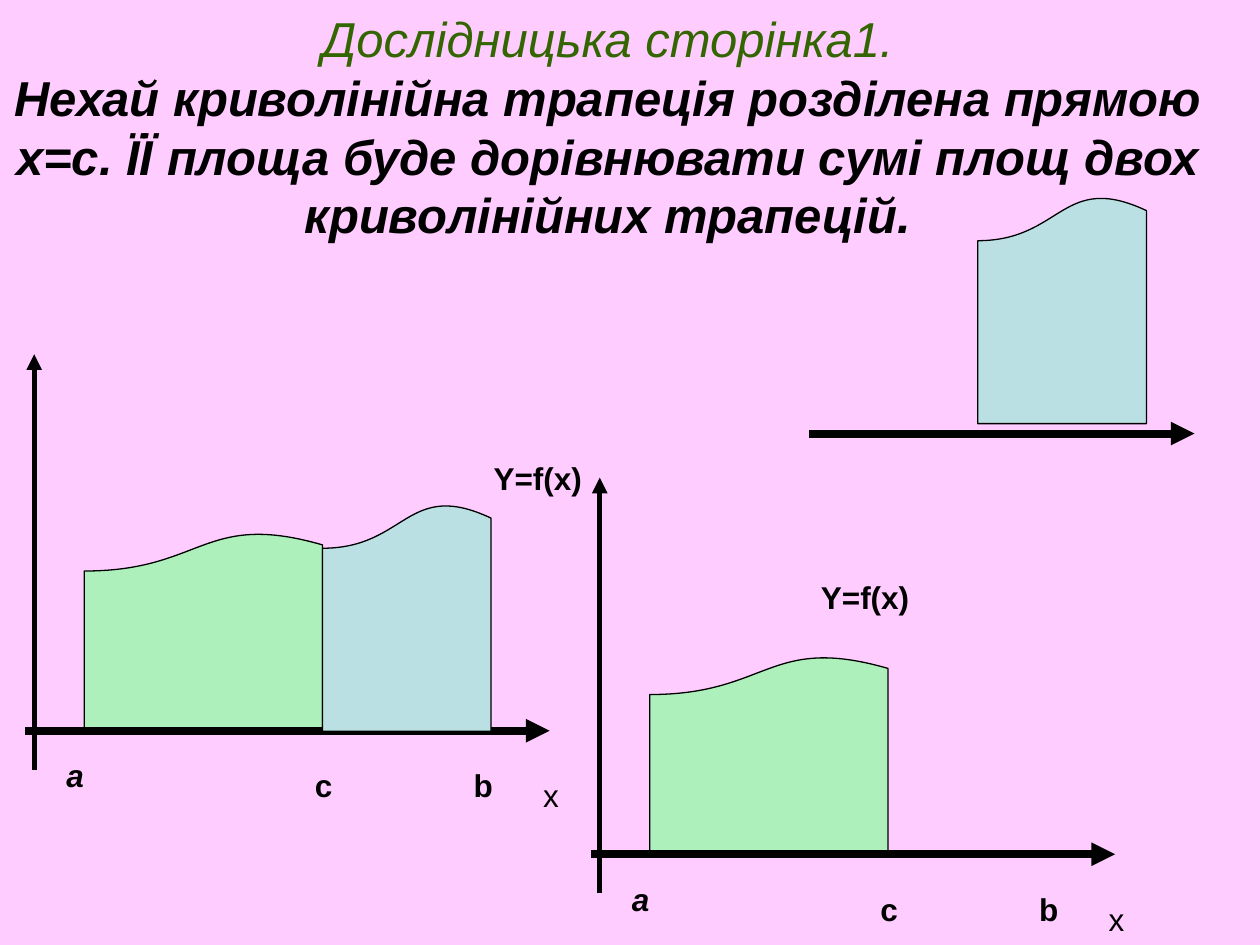
import pptx
import pptx.dml.color
import pptx.enum.shapes
import pptx.enum.text
import pptx.oxml
import pptx.util

Cm = pptx.util.Cm
Pt = pptx.util.Pt
COLORS = {"bg": "FFCCFF", "title": "336600", "ink": "000000",
          "green": "AEF0BB", "blue": "BBE0E3"}
GREEN_SIZE = (4.8, 3.99)
BLUE_SIZE = (3.4, 4.6)


def rgb(name):
    """Return the named colour."""
    return pptx.dml.color.RGBColor.from_string(COLORS[name])


def style_run(r, color="ink", **formats):
    """Apply font formats and a colour to a run."""
    for name, value in {"name": "Arial", **formats}.items():
        setattr(r.font, name, value)
    r.font.color.rgb = rgb(color)


def add_label(s, x, y, w, text, **formats):
    """Add a small text label."""
    sp = s.shapes.add_textbox(Cm(x), Cm(y), Cm(w), Cm(1.02))
    tf = sp.text_frame
    tf.word_wrap = True
    tf.auto_size = pptx.enum.text.MSO_AUTO_SIZE.SHAPE_TO_FIT_TEXT
    r = tf.paragraphs[0].add_run()
    r.text = text
    style_run(r, size=Pt(18), **formats)


def add_trapezoid(s, x, y, size, color):
    """Add a curvilinear trapezoid with its wavy side up."""
    w, h = size
    sp = s.shapes.add_shape(pptx.enum.shapes.MSO_SHAPE.FLOWCHART_DOCUMENT,
                            Cm(x), Cm(y), Cm(w), Cm(h))
    sp.rotation = 180
    sp.shadow.inherit = False
    sp.fill.solid()
    sp.fill.fore_color.rgb = rgb(color)
    sp.line.color.rgb = rgb("ink")
    sp.line.width = Pt(0.75)


def add_axis(s, x1, y1, x2, y2, width):
    """Add an axis with an arrowhead at its end."""
    sp = s.shapes.add_connector(pptx.enum.shapes.MSO_CONNECTOR.STRAIGHT,
                                Cm(x1), Cm(y1), Cm(x2), Cm(y2))
    sp.line.color.rgb = rgb("ink")
    sp.line.width = Pt(width)
    ln = sp.line._get_or_add_ln()
    ns = pptx.oxml.ns.nsdecls("a")
    ln.append(pptx.oxml.parse_xml(f'<a:tailEnd {ns} type="triangle"/>'))
    ln.getparent().append(pptx.oxml.parse_xml(f"<a:effectLst {ns}/>"))


def add_title(s, x, y, w, h):
    """Place the heading and the statement in the title placeholder."""
    sp = s.shapes.title
    sp.left, sp.top, sp.width, sp.height = Cm(x), Cm(y), Cm(w), Cm(h)
    tf = sp.text_frame
    tf.word_wrap = True
    tf.auto_size = pptx.enum.text.MSO_AUTO_SIZE.NONE
    tf.vertical_anchor = pptx.enum.text.MSO_ANCHOR.MIDDLE
    p = tf.paragraphs[0]
    p.alignment = pptx.enum.text.PP_ALIGN.CENTER
    p.font.size = Pt(28)
    r = p.add_run()
    r.text = "Дослідницька сторінка1."
    style_run(r, "title", size=Pt(28), italic=True)
    p.add_line_break()
    r = p.add_run()
    r.text = ("Нехай криволінійна трапеція розділена прямою х=с. ЇЇ площа буде "
              "дорівнювати сумі площ двох криволінійних трапецій.")
    style_run(r, size=Pt(28), italic=True, bold=True)


def add_graph(s, x, y, formula_x, formula_y, with_blue):
    """Draw the axes, their labels and the trapezoids from the box corner."""
    add_trapezoid(s, x + 1.19, y + 3.58, GREEN_SIZE, "green")
    add_axis(s, x, y + 7.59, x + 10.57, y + 7.59, 4.5)
    add_axis(s, x + 0.18, y + 8.38, x + 0.18, y, 3)
    if with_blue:
        add_trapezoid(s, x + 5.99, y + 3, BLUE_SIZE, "blue")
    add_label(s, x + 0.58, y + 7.98, 1.19, "a", bold=True, italic=True)
    add_label(s, x + 5.59, y + 8.18, 2.21, "с", bold=True)
    add_label(s, x + 8.79, y + 8.18, 1.6, "b", bold=True)
    add_label(s, x + 10.19, y + 8.38, 1.6, "x")
    add_label(s, x + formula_x, y + formula_y, 2.39, "Y=f(x)", bold=True)


def add_blue_part(s, x, y):
    """Draw the separate blue trapezoid above its axis."""
    add_axis(s, x, y + 4.8, x + 7.77, y + 4.8, 4.5)
    add_trapezoid(s, x + 3.4, y, BLUE_SIZE, "blue")


def main():
    """Build and save the slide."""
    prs = pptx.Presentation()
    prs.slide_width, prs.slide_height = Cm(25.4), Cm(19.05)
    s = prs.slides.add_slide(prs.slide_layouts.get_by_name("Title Only"))
    s.background.fill.solid()
    s.background.fill.fore_color.rgb = rgb("bg")
    add_title(s, 0, 0, 24.5, 5.08)
    add_graph(s, 0.51, 7.14, 9.19, 1.98, True)
    add_graph(s, 11.91, 9.63, 4.39, 1.9, False)
    add_blue_part(s, 16.31, 3.94)
    prs.save("out.pptx")


if __name__ == "__main__":
    main()
